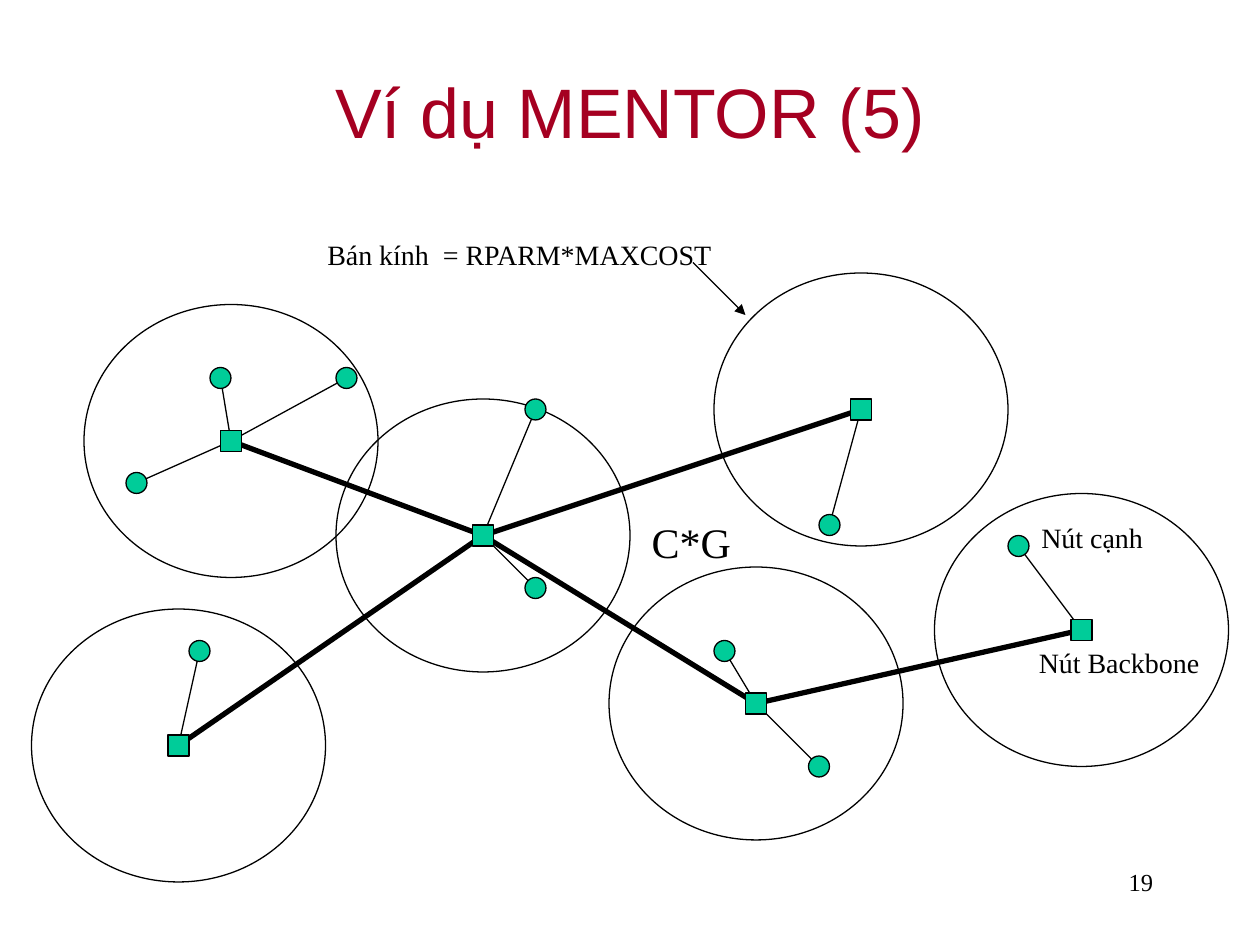
from lxml import etree
from pptx import Presentation
from pptx.dml.color import RGBColor
from pptx.enum.shapes import MSO_CONNECTOR, MSO_SHAPE
from pptx.enum.text import MSO_ANCHOR, PP_ALIGN
from pptx.oxml.ns import qn
from pptx.util import Pt

PX = 9525  # EMU per px, 96 px to the inch
COLORS = {name: RGBColor.from_string(value) for name, value in {
    "title": "A50021", "ink": "000000", "node": "00CC99"}.items()}

NODE_SIZE = 16
RADIUS_X, RADIUS_Y = 112, 104

# Centre of each backbone node, and of the edge nodes attached to it
backbone = {
    "center": (368, 408),
    "west": (176, 336),
    "southwest": (136, 568),
    "northeast": (656, 312),
    "south": (576, 536),
    "east": (824, 480),
}
edge_nodes = {
    "center": [(408, 312), (408, 448)],
    "west": [(168, 288), (104, 368), (264, 288)],
    "southwest": [(152, 496)],
    "northeast": [(632, 400)],
    "south": [(624, 584), (552, 496)],
    "east": [(776, 416)],
}
backbone_links = [
    ("southwest", "center"), ("center", "west"), ("center", "northeast"),
    ("center", "south"), ("south", "east"),
]
# Text, left, top, width, height, size, alignment, wrap
labels = [
    ("Nút Backbone", 782, 487, 142, 36, 16, PP_ALIGN.LEFT, False),
    ("Nút cạnh", 784, 392, 97, 36, 16, PP_ALIGN.LEFT, False),
    ("Bán kính  = RPARM*MAXCOST", 240, 176, 314, 36, 16, PP_ALIGN.LEFT, False),
    ("C*G", 487, 389, 80, 48, 24, PP_ALIGN.LEFT, False),
    ("19", 688, 656, 200, 48, 14, PP_ALIGN.RIGHT, True),
]

prs = Presentation()
prs.slide_width, prs.slide_height = 960 * PX, 720 * PX
slide = prs.slides.add_slide(prs.slide_layouts[5])
shapes = slide.shapes


def add_link(start, end, width):
    link = shapes.add_connector(
        MSO_CONNECTOR.STRAIGHT, *(value * PX for value in (*start, *end)))
    link.line.color.rgb = COLORS["ink"]
    link.line.width = Pt(width)
    etree.SubElement(link._element.spPr, qn("a:effectLst"))
    return link


def add_centered(kind, center, half_width, half_height, fill=None):
    """Add an outlined shape around its centre, unfilled by default."""
    x, y = center
    shape = shapes.add_shape(
        kind, (x - half_width) * PX, (y - half_height) * PX,
        2 * half_width * PX, 2 * half_height * PX)
    shape.shadow.inherit = False
    shape.line.color.rgb = COLORS["ink"]
    shape.line.width = Pt(0.75)
    if fill is None:
        shape.fill.background()
    else:
        shape.fill.solid()
        shape.fill.fore_color.rgb = fill


title = shapes.title
title.left, title.top, title.width, title.height = (
    value * PX for value in (72, 24, 816, 120))
title.text_frame.text = "Ví dụ MENTOR (5)"
title.text_frame.vertical_anchor = MSO_ANCHOR.MIDDLE
title_line = title.text_frame.paragraphs[0]
title_line.alignment = PP_ALIGN.CENTER
title_font = title_line.runs[0].font
title_font.name, title_font.size = "Arial", Pt(40)
title_font.color.rgb = COLORS["title"]

# Links lie below the nodes
for start, end in backbone_links:
    add_link(backbone[start], backbone[end], 3)
for hub, members in edge_nodes.items():
    for member in members:
        add_link(member, backbone[hub], 0.75)

for hub, center in backbone.items():
    add_centered(MSO_SHAPE.OVAL, center, RADIUS_X, RADIUS_Y)
    for member in edge_nodes[hub]:
        add_centered(MSO_SHAPE.OVAL, member, NODE_SIZE // 2, NODE_SIZE // 2,
                     COLORS["node"])
    add_centered(MSO_SHAPE.RECTANGLE, center, NODE_SIZE // 2, NODE_SIZE // 2,
                 COLORS["node"])

radius_arrow = add_link((528, 200), (568, 240), 0.75)
etree.SubElement(radius_arrow.line._get_or_add_ln(), qn("a:tailEnd"), type="triangle")

for text, left, top, width, height, size, alignment, wrap in labels:
    label = shapes.add_textbox(left * PX, top * PX, width * PX, height * PX)
    label.text_frame.word_wrap = wrap
    label.text_frame.text = text
    paragraph = label.text_frame.paragraphs[0]
    paragraph.alignment = alignment
    font = paragraph.runs[0].font
    font.name, font.size = "Times New Roman", Pt(size)
    font.color.rgb = COLORS["ink"]

prs.save("out.pptx")
